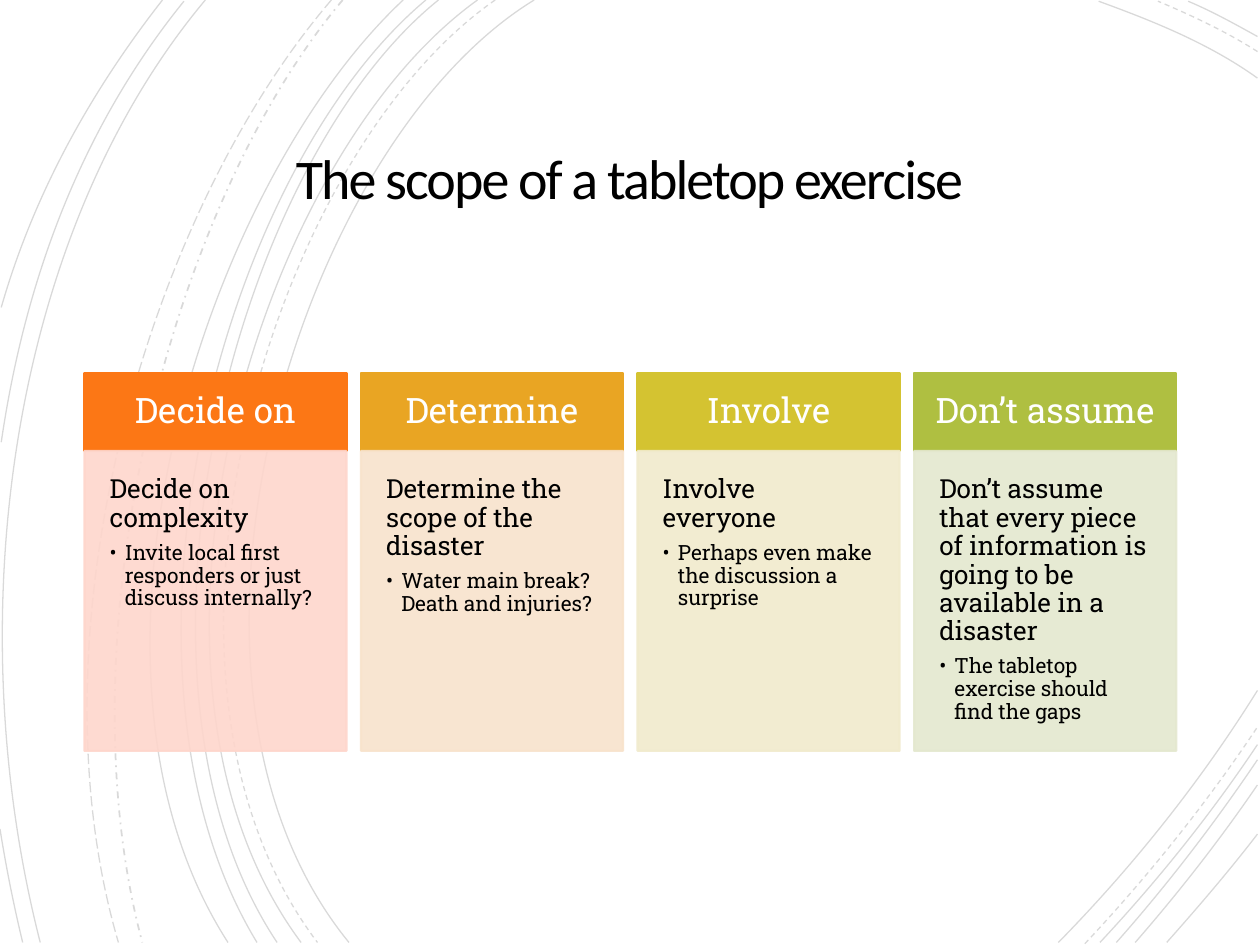
from dataclasses import dataclass
from typing import NamedTuple

from pptx import Presentation
from pptx import util as u
from pptx.dml.color import RGBColor
from pptx.enum import dml, shapes, text
from pptx.oxml import ns, xmlchemy

Dash = dml.MSO_LINE


@dataclass(frozen=True)
class Theme:
    ink: str = "000000"
    light: str = "FFFFFF"
    sans: str = "Calibri"
    slab: str = "Roboto Slab"
    title: float = 32
    head: float = 20
    lead: float = 15
    point: float = 12
    arc_alpha: int = 15
    body_alpha: int = 90


class Arc(NamedTuple):
    """A cubic curve: start, two controls, end."""
    pts: tuple
    dash: Dash = Dash.SOLID
    width: float = 0.75


class Card(NamedTuple):
    head: str
    lead: str
    point: str
    color: str
    tint: str


THEME = Theme()

ARCS = [
    # Sweeps on the left
    Arc(((4.24, 0), (2.36, 1.15), (1.07, 5.4), (2.77, 7.48))),
    Arc(((3.93, 0), (2.13, 1.25), (0.92, 5.37), (2.52, 7.48)), Dash.DASH),
    Arc(((3.79, 0), (2.02, 1.27), (0.82, 5.37), (2.39, 7.48))),
    Arc(((3.48, 0), (1.83, 1.33), (0.82, 5.41), (2.2, 7.48))),
    Arc(((3.38, 0), (1.73, 1.38), (0.73, 5.33), (2.04, 7.48))),
    Arc(((3.2, 0), (1.63, 1.47), (0.4, 5.29), (1.81, 7.48))),
    Arc(((2.72, 0), (1.32, 1.66), (0.49, 5.09), (1.13, 7.48)), Dash.DASH_DOT, 1),
    Arc(((2.63, 0), (1.18, 1.69), (0.21, 4.99), (0.94, 7.48)), Dash.LONG_DASH),
    Arc(((1.63, 0), (0.08, 1.85), (-0.34, 4.9), (0.32, 7.48))),
    Arc(((1.46, 0.01), (0.69, 0.96), (0.21, 2.14), (0.01, 3.51))),
    Arc(((0, 6.58), (0.05, 6.89), (0.11, 7.19), (0.18, 7.48))),
    Arc(((1.29, 0), (0.75, 0.69), (0.28, 1.5), (0.01, 2.44))),
    # Top right corner
    Arc(((9.98, 0.62), (9.59, 0.34), (9.13, 0.16), (8.72, 0.01))),
    Arc(((9.98, 0.41), (9.73, 0.25), (9.45, 0.12), (9.19, 0.01)), Dash.DASH),
    Arc(((9.98, 0.29), (9.8, 0.19), (9.62, 0.09), (9.43, 0.01))),
    # Bottom right corner
    Arc(((8.4, 7.48), (8.97, 6.9), (9.52, 6.22), (9.98, 5.48))),
    Arc(((8.61, 7.49), (9.09, 6.98), (9.56, 6.4), (9.98, 5.77)), Dash.DASH),
    Arc(((8.73, 7.48), (9.17, 7.01), (9.6, 6.48), (9.98, 5.91))),
    Arc(((8.86, 7.48), (9.25, 7.04), (9.63, 6.55), (9.98, 6.03))),
    Arc(((9.01, 7.48), (9.35, 7.09), (9.68, 6.67), (9.98, 6.23))),
    Arc(((9.26, 7.48), (9.5, 7.21), (9.75, 6.92), (9.98, 6.62))),
]

CARDS = [
    Card("Decide on", "Decide on complexity",
         "Invite local first responders or just discuss internally?",
         "FC7715", "FED6CC"),
    Card("Determine", "Determine the scope of the disaster",
         "Water main break? Death and injuries?", "E9A523", "F8E3CC"),
    Card("Involve", "Involve everyone",
         "Perhaps even make the discussion a surprise", "D4C331", "F1EBCD"),
    Card("Don’t assume",
         "Don’t assume that every piece of information is going to be "
         "available in a disaster",
         "The tabletop exercise should find the gaps", "AFBF41", "E4E8CF"),
]


def add_sub(parent, tag: str, **attrs: str):
    child = xmlchemy.OxmlElement(tag)
    for key, val in attrs.items():
        child.set(key, val)
    parent.append(child)
    return child


def fade(shape, alpha: int) -> None:
    """Give every fill and line colour of a shape the same opacity."""
    for color in list(shape._element.spPr.iter(ns.qn("a:srgbClr"))):
        add_sub(color, "a:alpha", val=str(alpha * 1000))


def set_frame(shape, inset: float, anchor) -> None:
    frame = shape.text_frame
    frame.word_wrap = True
    frame.vertical_anchor = anchor
    frame.margin_left = frame.margin_right = u.Inches(inset)
    frame.margin_top = frame.margin_bottom = u.Inches(inset)


def write(para, words: str, *, size: float, color: str = THEME.ink,
          font: str = THEME.slab, align=text.PP_ALIGN.LEFT, lines: float = 0.9,
          after: float = 0, track: float = 0, bullet: bool = False) -> None:
    para.alignment = align
    para.line_spacing = lines
    para.space_before = u.Pt(0)
    para.space_after = u.Pt(after)
    if bullet:
        props = para._p.get_or_add_pPr()
        hang = u.Inches(0.12)
        props.set("marL", str(hang))
        props.set("indent", str(-hang))
        add_sub(props, "a:buFont", typeface=font)
        add_sub(props, "a:buChar", char="•")
    run = para.add_run()
    run.text = words
    run.font.size = u.Pt(size)
    run.font.name = font
    run.font.color.rgb = RGBColor.from_string(color)
    if track:
        run._r.get_or_add_rPr().set("spc", str(round(track * 100)))


def draw_arc(slide, arc: Arc) -> None:
    start, *rest = [tuple(map(u.Inches, pt)) for pt in arc.pts]
    path = slide.shapes.build_freeform(*start)
    path.add_line_segments(rest, close=False)
    curve = path.convert_to_shape()

    # Bend the three segments into one cubic curve
    sides = list(curve._element.spPr.iter(ns.qn("a:lnTo")))
    bend = add_sub(sides[0].getparent(), "a:cubicBezTo")
    for side in sides:
        bend.append(side[0])
        side.getparent().remove(side)

    curve.shadow.inherit = False
    curve.fill.background()
    curve.line.color.rgb = RGBColor.from_string(THEME.ink)
    curve.line.width = u.Pt(arc.width)
    curve.line.dash_style = arc.dash
    fade(curve, THEME.arc_alpha)


def draw_box(slide, left: float, top: float, width: float, height: float, color: str):
    box = slide.shapes.add_shape(
        shapes.MSO_SHAPE.RECTANGLE, *map(u.Inches, (left, top, width, height)))
    box.shadow.inherit = False
    box.fill.solid()
    box.fill.fore_color.rgb = box.line.color.rgb = RGBColor.from_string(color)
    box.line.width = u.Pt(1.25)
    return box


def draw_card(slide, card: Card, left: float) -> None:
    top, width, head_h, body_h = 2.96, 2.08, 0.62, 2.38
    head = draw_box(slide, left, top, width, head_h, card.color)
    set_frame(head, 0.16, text.MSO_ANCHOR.MIDDLE)
    write(head.text_frame.paragraphs[0], card.head, size=THEME.head,
          color=THEME.light, align=text.PP_ALIGN.CENTER)

    body = draw_box(slide, left, top + head_h, width, body_h, card.tint)
    fade(body, THEME.body_alpha)
    set_frame(body, 0.2, text.MSO_ANCHOR.TOP)
    write(body.text_frame.paragraphs[0], card.lead, size=THEME.lead,
          after=0.35 * THEME.lead)
    write(body.text_frame.add_paragraph(), card.point, size=THEME.point, bullet=True)


def main() -> None:
    deck = Presentation()
    deck.slide_width, deck.slide_height = u.Inches(10), u.Inches(7.5)
    slide = deck.slides.add_slide(deck.slide_layouts[6])

    # Background curves
    for arc in ARCS:
        draw_arc(slide, arc)

    # Title
    title = slide.shapes.add_textbox(*map(u.Inches, (1.44, 0.87, 7.11, 1.15)))
    set_frame(title, 0.25, text.MSO_ANCHOR.MIDDLE)
    write(title.text_frame.paragraphs[0], "The scope of a tabletop exercise",
          size=THEME.title, font=THEME.sans, align=text.PP_ALIGN.CENTER,
          lines=0.85, track=-1.12)

    # Four cards at an equal pitch
    for n, card in enumerate(CARDS):
        draw_card(slide, card, 0.67 + 2.195 * n)

    deck.save("out.pptx")


if __name__ == "__main__":
    main()
